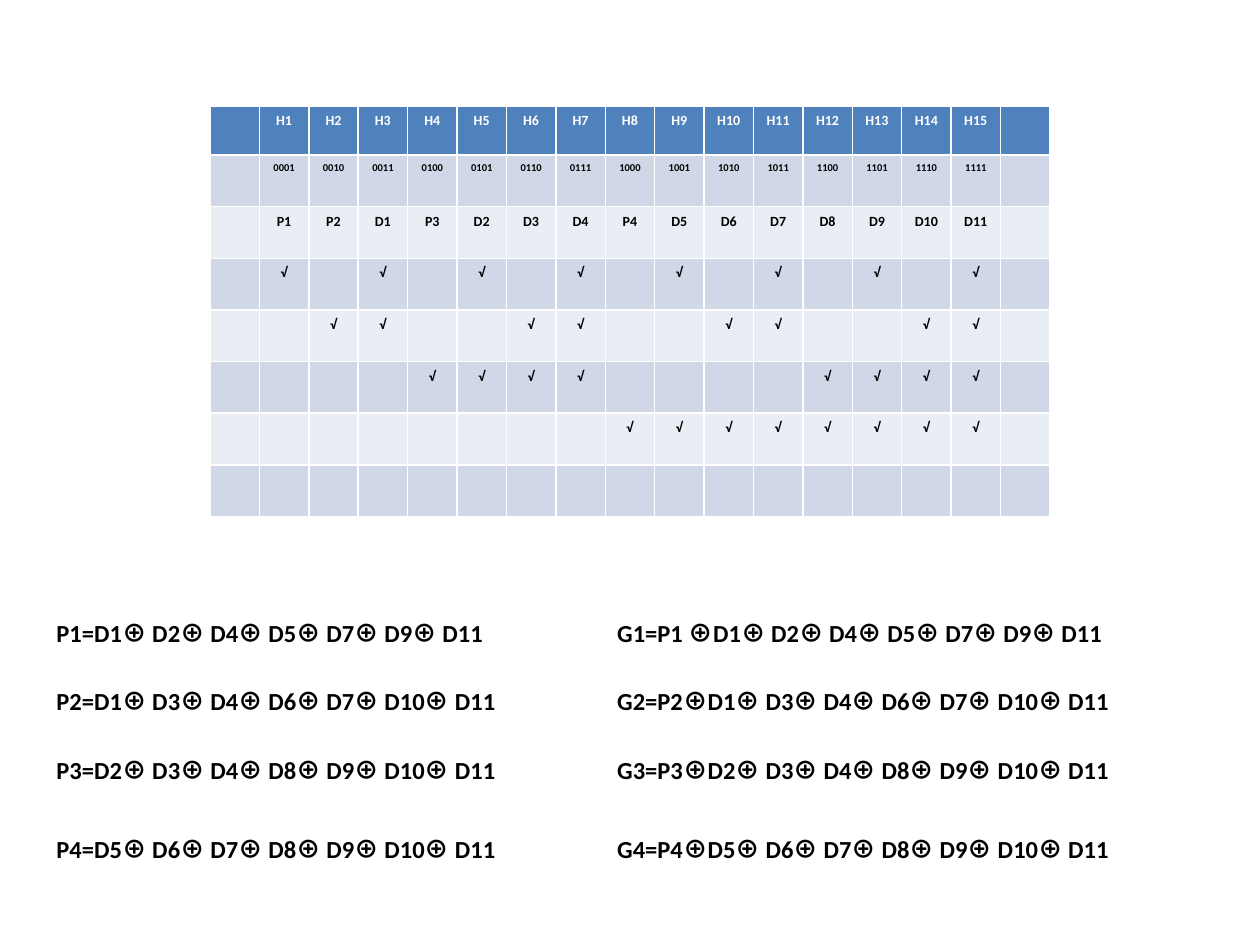
from dataclasses import dataclass

from lxml.etree import SubElement
from pptx import Presentation
from pptx.dml.color import RGBColor as RGB
from pptx.enum.text import MSO_AUTO_SIZE as Fit, PP_ALIGN as Align
from pptx.oxml.ns import qn
from pptx.util import Inches, Pt


@dataclass(frozen=True)
class Theme:
    head: str = "4F81BD"
    bands: tuple = ("D0D8E8", "E9EDF4")
    light: str = "FFFFFF"
    dark: str = "000000"
    font: str = "Calibri"
    math: str = "Noto Sans CJK SC"
    code: int = 6
    cell: int = 8
    sum: int = 14


THEME = Theme()
WIDE, HIGH = 10, 7.5
BITS = range(4)
SPOTS = range(1, 16)
XOR = "⊕"
LEFTS = (0.035, 0.48)
TOPS = (0.647, 0.719, 0.792, 0.876)


def name_bits():
    """Map each spot to its name: parity at powers of two, data elsewhere."""
    names, count = {}, {"P": 0, "D": 0}
    for spot in SPOTS:
        kind = "D" if spot & (spot - 1) else "P"
        count[kind] += 1
        names[spot] = f"{kind}{count[kind]}"
    return names


def add_text(para, text, size, color=THEME.dark, font=THEME.font):
    run = para.add_run()
    run.text = text
    run.font.size = Pt(size)
    run.font.bold = True
    run.font.name = font
    run.font.color.rgb = RGB.from_string(color)
    SubElement(run.font._element, qn("a:ea"), typeface=font)


def fill_cell(cell, text, fill, size, color):
    cell.fill.solid()
    cell.fill.fore_color.rgb = RGB.from_string(fill)
    para = cell.text_frame.paragraphs[0]
    para.alignment = Align.CENTER
    if text:
        add_text(para, text, size, color=color)
    else:
        SubElement(para._p, qn("a:endParaRPr"), sz=str(size * 100))


def add_grid(slide, names):
    rows = [
        [f"H{spot}" for spot in SPOTS],
        [f"{spot:04b}" for spot in SPOTS],
        [names[spot] for spot in SPOTS],
        *(["√" if spot >> bit & 1 else "" for spot in SPOTS] for bit in BITS),
        [""] * len(SPOTS),
    ]
    cols = len(SPOTS) + 2
    wide, high = WIDE * 2 / 3, 3.23
    table = slide.shapes.add_table(
        len(rows), cols, Inches(WIDE / 6), Inches(0.84), Inches(wide), Inches(high)
    ).table
    for col in table.columns:
        col.width = Inches(wide / cols)
    for i, row in enumerate(rows):
        table.rows[i].height = Inches(0.41 if i else 0.39)
        fill = THEME.bands[(i - 1) % 2] if i else THEME.head
        color = THEME.dark if i else THEME.light
        size = THEME.code if i == 1 else THEME.cell
        for j, text in enumerate(["", *row, ""]):
            fill_cell(table.cell(i, j), text, fill, size, color)


def add_sum(slide, left, top, head, pairs):
    """Add one equation; pairs holds each operator with its operand."""
    box = slide.shapes.add_textbox(
        Inches(left * WIDE), Inches(top * HIGH), Inches(WIDE / 2), Inches(0.34)
    )
    frame = box.text_frame
    frame.word_wrap = True
    frame.auto_size = Fit.SHAPE_TO_FIT_TEXT
    para = frame.paragraphs[0]
    add_text(para, head, THEME.sum)
    for sign, term in pairs:
        add_text(para, sign, THEME.sum, font=THEME.math)
        add_text(para, term, THEME.sum)


def add_sums(slide, names):
    for bit, top in zip(BITS, TOPS):
        own, first, *rest = [names[s] for s in SPOTS if s >> bit & 1]
        tail = [(XOR, f" {term}") for term in rest]
        lead = f" {XOR}" if bit == 0 else XOR
        add_sum(slide, LEFTS[0], top, f"{own}={first}", tail)
        add_sum(slide, LEFTS[1], top, f"G{bit + 1}={own}", [(lead, first), *tail])


def main():
    deck = Presentation()
    deck.slide_width, deck.slide_height = Inches(WIDE), Inches(HIGH)
    slide = deck.slides.add_slide(deck.slide_layouts[6])
    names = name_bits()
    add_grid(slide, names)
    add_sums(slide, names)
    deck.save("out.pptx")


if __name__ == "__main__":
    main()
